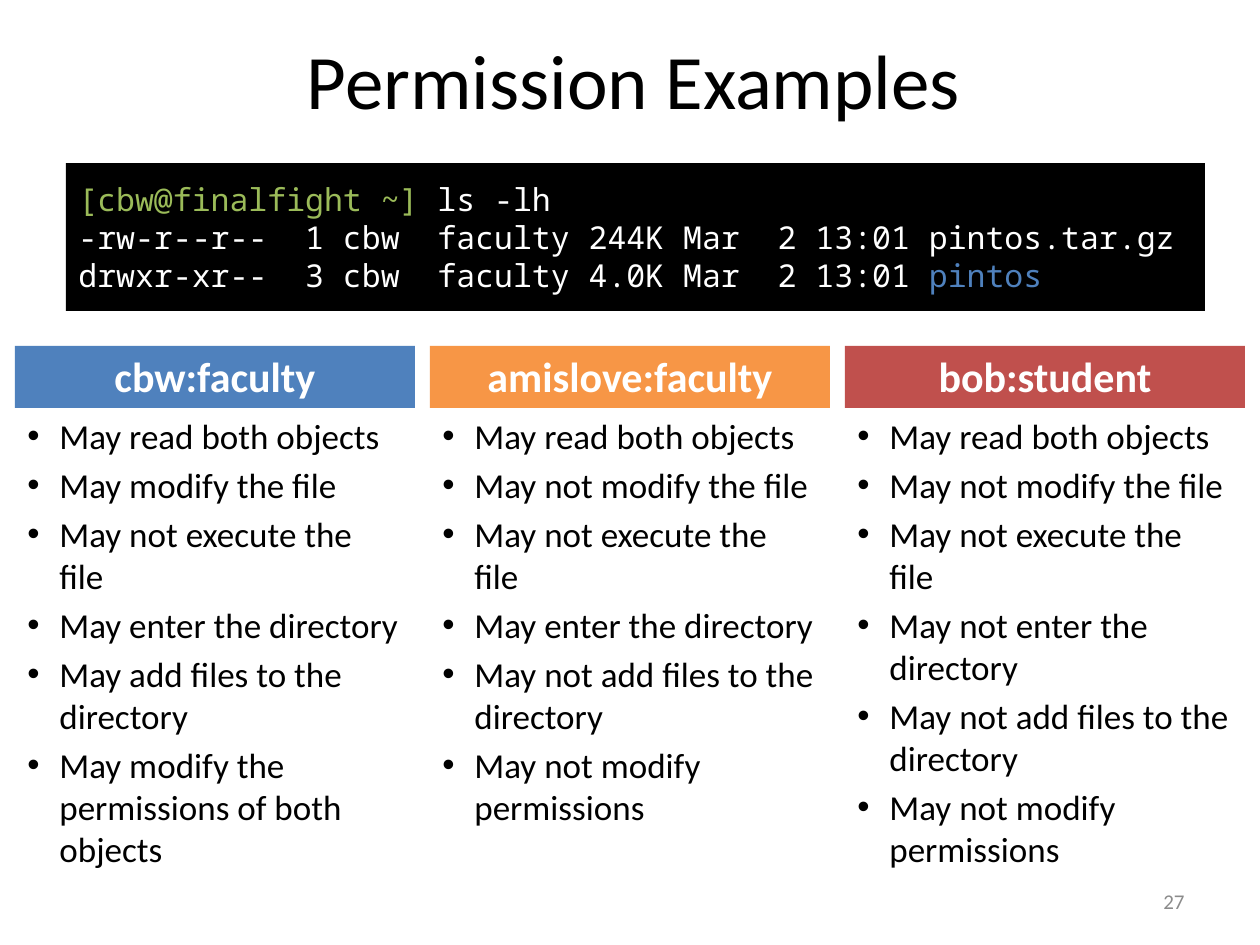
from lxml import etree
from pptx import Presentation
from pptx.dml.color import RGBColor
from pptx.enum.shapes import MSO_SHAPE
from pptx.enum.text import MSO_ANCHOR, PP_ALIGN
from pptx.oxml.ns import qn
from pptx.util import Emu, Pt

RECTANGLE = MSO_SHAPE.RECTANGLE
TOP, MIDDLE, BOTTOM = MSO_ANCHOR.TOP, MSO_ANCHOR.MIDDLE, MSO_ANCHOR.BOTTOM
LEFT, CENTER, RIGHT = PP_ALIGN.LEFT, PP_ALIGN.CENTER, PP_ALIGN.RIGHT

PX_PER_INCH = 126
BLACK, WHITE, GREY = "000000", "FFFFFF", "8B8B8B"
BLUE, ORANGE, RED, GREEN = "4F81BD", "F79646", "C0504D", "9BBB59"

COLUMN_LEFT, COLUMN_STEP, COLUMN_WIDTH = 15, 415, 400
HEADER_TOP, HEADER_HEIGHT = 346, 62
LIST_HEIGHT = 483
BULLET_INDENT = 32

TERMINAL_LINES = [
    [("[cbw@finalfight ~] ", GREEN), ("ls -lh", WHITE)],
    [("-rw-r--r--  1 cbw  faculty 244K Mar  2 13:01 pintos.tar.gz", WHITE)],
    [("drwxr-xr--  3 cbw  faculty 4.0K Mar  2 13:01 ", WHITE), ("pintos", BLUE)],
]
USERS = [
    ("cbw:faculty", BLUE, [
        "May read both objects",
        "May modify the file",
        "May not execute the file",
        "May enter the directory",
        "May add files to the directory",
        "May modify the permissions of both objects",
    ]),
    ("amislove:faculty", ORANGE, [
        "May read both objects",
        "May not modify the file",
        "May not execute the file",
        "May enter the directory",
        "May not add files to the directory",
        "May not modify permissions",
    ]),
    ("bob:student", RED, [
        "May read both objects",
        "May not modify the file",
        "May not execute the file",
        "May not enter the directory",
        "May not add files to the directory",
        "May not modify permissions",
    ]),
]


def px(length):
    return Emu(round(length * 914400 / PX_PER_INCH))


def color(hex_value):
    return RGBColor.from_string(hex_value)


def apply(target, values):
    for name, value in values.items():
        setattr(target, name, value)


class SlideBuilder:
    body_font = "Calibri"
    code_font = "Noto Sans Mono"

    def __init__(self, slide):
        self.slide = slide

    def fill_text(self, frame, lines, size, anchor, font=body_font, bold=False,
                  **paragraph_format):
        """Fill a frame with lines, each a list of (text, colour) runs."""
        apply(frame, {"word_wrap": True, "vertical_anchor": anchor})
        for index, line in enumerate(lines):
            paragraph = frame.add_paragraph() if index else frame.paragraphs[0]
            apply(paragraph, paragraph_format)
            for text, hex_value in line:
                run = paragraph.add_run()
                run.text = text
                apply(run.font, {"name": font, "size": Pt(size), "bold": bold})
                run.font.color.rgb = color(hex_value)

    def text(self, box, lines, size, anchor, **text_format):
        frame = self.slide.shapes.add_textbox(*map(px, box)).text_frame
        self.fill_text(frame, lines, size, anchor, **text_format)
        return frame

    def panel(self, box, fill, lines, size, anchor, **text_format):
        panel = self.slide.shapes.add_shape(RECTANGLE, *map(px, box))
        panel.shadow.inherit = False
        panel.fill.solid()
        panel.fill.fore_color.rgb = color(fill)
        panel.line.fill.background()
        self.fill_text(panel.text_frame, lines, size, anchor, **text_format)

    def bullets(self, box, items):
        lines = [[(item, BLACK)] for item in items]
        frame = self.text(box, lines, 20, TOP, space_before=Pt(4))
        for paragraph in frame.paragraphs:
            properties = paragraph._p.get_or_add_pPr()
            properties.set("marL", str(px(BULLET_INDENT)))
            properties.set("indent", str(-px(BULLET_INDENT)))
            etree.SubElement(properties, qn("a:buFont")).set("typeface", "Arial")
            etree.SubElement(properties, qn("a:buChar")).set("char", "•")


def main():
    deck = Presentation()
    apply(deck, {"slide_width": px(1260), "slide_height": px(945)})
    builder = SlideBuilder(deck.slides.add_slide(deck.slide_layouts[6]))

    builder.text((67, 0, 1134, 158), [[("Permission Examples", BLACK)]], 44, MIDDLE,
                 alignment=CENTER)
    builder.panel((66, 163, 1139, 148), BLACK, TERMINAL_LINES, 18, MIDDLE,
                  font=builder.code_font, alignment=LEFT)

    for index, (user, fill, permissions) in enumerate(USERS):
        left = COLUMN_LEFT + index * COLUMN_STEP
        builder.panel((left, HEADER_TOP, COLUMN_WIDTH, HEADER_HEIGHT), fill,
                      [[(user, WHITE)]], 24, BOTTOM, bold=True, alignment=CENTER,
                      line_spacing=0.9, space_before=Pt(4.8))
        builder.bullets((left, HEADER_TOP + HEADER_HEIGHT, COLUMN_WIDTH, LIST_HEIGHT),
                        permissions)

    builder.text((903, 876, 294, 50), [[("27", GREY)]], 12, MIDDLE, alignment=RIGHT)
    deck.save("out.pptx")


if __name__ == "__main__":
    main()
